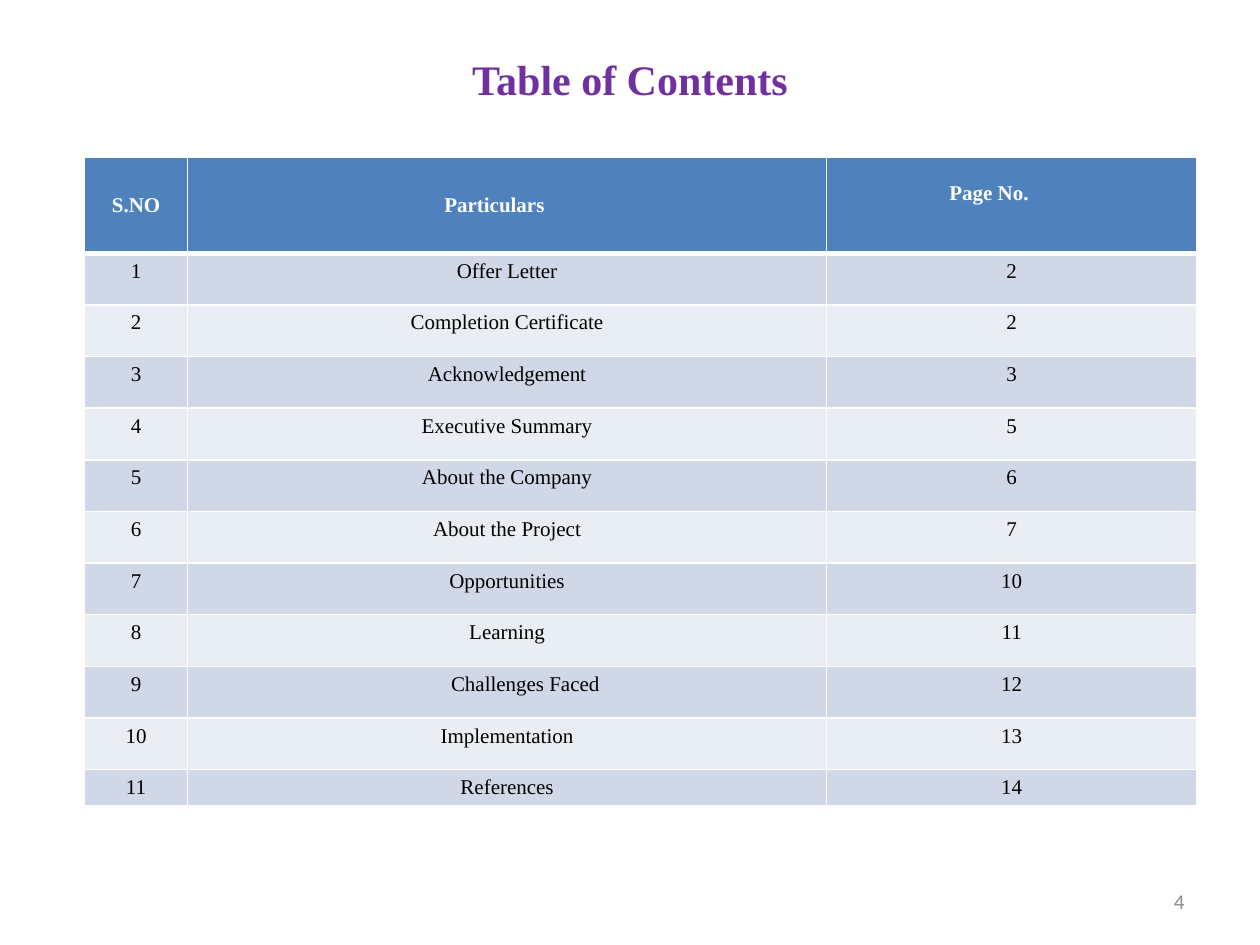
from lxml import etree
from pptx import Presentation, util as u
from pptx.dml.color import RGBColor
from pptx.enum import text
from pptx.oxml import ns

PURPLE = RGBColor(0x70, 0x30, 0xA0)
BLUE = RGBColor(0x4F, 0x81, 0xBD)
BAND_DARK = RGBColor(0xD0, 0xD8, 0xE8)
BAND_LIGHT = RGBColor(0xE9, 0xED, 0xF4)
WHITE = RGBColor(0xFF, 0xFF, 0xFF)
BLACK = RGBColor(0, 0, 0)
GRAY = RGBColor(0x8C, 0x8C, 0x8C)

HEADINGS = ["S.NO", "Particulars", "Page No."]
CONTENTS = [
    ("Offer Letter", 2), ("Completion Certificate", 2),
    ("Acknowledgement", 3), ("Executive Summary", 5),
    ("About the Company", 6), ("About the Project", 7),
    ("Opportunities", 10), ("Learning", 11), ("Challenges Faced", 12),
    ("Implementation", 13), ("References", 14),
]


class ContentsPage:
    """Holds the style and the current slide."""

    serif = "Times New Roman"
    sans = "Calibri"

    def __init__(self, deck):
        self.page = deck.slides.add_slide(deck.slide_layouts[5])

    def set_text(self, frame, words, size, color, font, bold=False,
                 align=text.PP_ALIGN.CENTER):
        frame.text = words
        para = frame.paragraphs[0]
        para.alignment = align
        span = para.runs[0].font
        span.name, span.size, span.bold = font, u.Pt(size), bold
        span.color.rgb = color

    def title(self, words):
        box = self.page.shapes.title
        box.left, box.top = u.Inches(0.5), u.Inches(0)
        box.width, box.height = u.Inches(9), u.Inches(1.25)
        box.text_frame.vertical_anchor = text.MSO_ANCHOR.MIDDLE
        self.set_text(box.text_frame, words, 24, PURPLE, self.serif, True)

    def borders(self, cell, top=1, bottom=1):
        properties = cell._tc.get_or_add_tcPr()
        for side, points in (("L", 1), ("R", 1), ("T", top), ("B", bottom)):
            line = etree.SubElement(properties, ns.qn("a:ln" + side),
                                    w=str(u.Pt(points)))
            fill = etree.SubElement(line, ns.qn("a:solidFill"))
            etree.SubElement(fill, ns.qn("a:srgbClr"), val=str(WHITE))

    def table(self, rows, left, top, widths, heights):
        frame = self.page.shapes.add_table(
            len(rows), len(widths), u.Inches(left), u.Inches(top),
            u.Inches(sum(widths)), u.Inches(sum(heights)))
        table = frame.table
        for column, width in zip(table.columns, widths):
            column.width = u.Inches(width)
        for row, height in zip(table.rows, heights):
            row.height = u.Inches(height)
        for i, values in enumerate(rows):
            header = i == 0
            band = BLUE if header else BAND_DARK if i % 2 else BAND_LIGHT
            for j, value in enumerate(values):
                cell = table.cell(i, j)
                self.borders(cell, 3 if i == 1 else 1, 3 if header else 1)
                cell.fill.solid()
                cell.fill.fore_color.rgb = band
                cell.vertical_anchor = (text.MSO_ANCHOR.MIDDLE if header
                                        else text.MSO_ANCHOR.TOP)
                self.set_text(cell.text_frame, str(value), 12,
                              WHITE if header else BLACK, self.serif, header)
        return table

    def page_number(self, number):
        box = self.page.shapes.add_textbox(u.Inches(7.17), u.Inches(6.95),
                                           u.Inches(2.33), u.Inches(0.4))
        box.text_frame.word_wrap = True
        box.text_frame.vertical_anchor = text.MSO_ANCHOR.MIDDLE
        self.set_text(box.text_frame, str(number), 12, GRAY, self.sans,
                      align=text.PP_ALIGN.RIGHT)


def main():
    deck = Presentation()
    deck.slide_width, deck.slide_height = u.Inches(10), u.Inches(7.5)
    contents = ContentsPage(deck)
    contents.title("Table of Contents")

    # Numbered entries under one header row
    rows = [HEADINGS] + [(i, *entry) for i, entry in enumerate(CONTENTS, 1)]
    heights = [0.76] + [0.41] * (len(CONTENTS) - 1) + [0.28]
    table = contents.table(rows, 0.67, 1.25, [0.82, 5.07, 2.94], heights)

    # Off-centre cells
    table.cell(0, 1).margin_right = u.Inches(0.3)
    table.cell(0, 2).margin_right = u.Inches(0.46)
    table.cell(0, 2).margin_bottom = u.Inches(0.24)
    table.cell(9, 1).margin_left = u.Inches(0.39)

    contents.page_number(4)
    deck.save("out.pptx")


if __name__ == "__main__":
    main()
